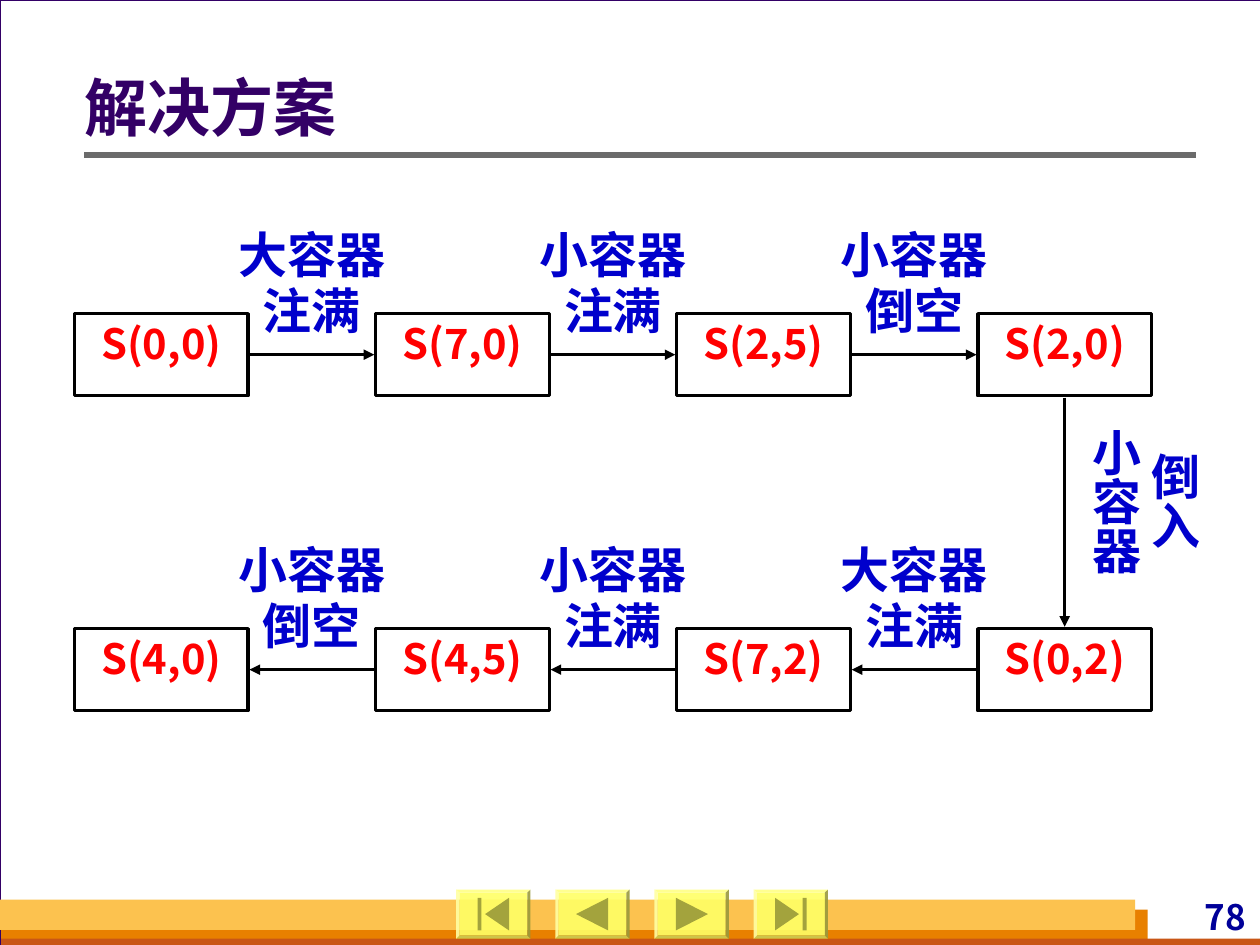
from dataclasses import dataclass

from lxml import etree
from pptx import Presentation
from pptx.dml.color import RGBColor
from pptx.enum.shapes import MSO_CONNECTOR, MSO_SHAPE
from pptx.enum.text import MSO_ANCHOR, PP_ALIGN
from pptx.oxml.ns import qn
from pptx.util import Inches, Pt

RECT, BEVEL = MSO_SHAPE.RECTANGLE, MSO_SHAPE.BEVEL
STRAIGHT = MSO_CONNECTOR.STRAIGHT
TOP, MIDDLE = MSO_ANCHOR.TOP, MSO_ANCHOR.MIDDLE
LEFT, CENTER, RIGHT = PP_ALIGN.LEFT, PP_ALIGN.CENTER, PP_ALIGN.RIGHT


@dataclass(frozen=True)
class Theme:
    font: str = "Noto Sans CJK SC"
    back: str = "D8DADA"
    white: str = "FFFFFF"
    ink: str = "000000"
    title: str = "330066"
    rule: str = "6B6B6B"
    state: str = "FF0000"
    step: str = "0000CC"
    page: str = "000099"
    gold: str = "FCC24F"
    orange: str = "E88000"
    rust: str = "C95616"
    button: str = "FFFF66"
    glyph: str = "A3A33D"
    title_size: float = 36
    step_size: float = 28
    state_size: float = 23.8
    page_size: float = 20


@dataclass(frozen=True)
class Grid:
    left: float = 5.9
    top: float = 33.2
    across: float = 23.9
    down: float = 33.33
    wide: float = 13.8
    high: float = 8.67

    def cell(self, col, row):
        return (self.left + col * self.across, self.top + row * self.down,
                self.wide, self.high)


class Board:
    def __init__(self, deck, theme, grid):
        self.deck, self.theme, self.grid = deck, theme, grid
        self.slide = deck.slides.add_slide(deck.slide_layouts[5])
        self.shapes = self.slide.shapes
        self.paint(self.slide.background.fill, theme.back)

    def spot(self, x, y):
        return (round(self.deck.slide_width * x / 100),
                round(self.deck.slide_height * y / 100))

    def area(self, x, y, w, h):
        return *self.spot(x, y), *self.spot(w, h)

    def paint(self, fill, color):
        fill.solid()
        fill.fore_color.rgb = RGBColor.from_string(color)

    def letter(self, shape, lines, size, color, align=CENTER, space=None,
               inset=(0, 0, 0, 0), anchor=TOP):
        frame = shape.text_frame
        frame.text = lines
        frame.word_wrap = True
        frame.vertical_anchor = anchor
        (frame.margin_left, frame.margin_top,
         frame.margin_right, frame.margin_bottom) = map(Inches, inset)
        for para in frame.paragraphs:
            para.alignment = align
            para.line_spacing = space
            for run in para.runs:
                font = run.font
                font.size, font.bold, font.name = Pt(size), True, self.theme.font
                font.color.rgb = RGBColor.from_string(color)
                east = etree.SubElement(font._element, qn("a:ea"))
                east.set("typeface", self.theme.font)

    def title(self, text, area):
        shape = self.shapes.title
        self.shapes._spTree.append(shape._element)
        shape.left, shape.top, shape.width, shape.height = self.area(*area)
        self.letter(shape, text, self.theme.title_size, self.theme.title, LEFT,
                    0.9, (0, 0.05, 0.1, 0.05), MIDDLE)

    def block(self, area, fill, line=None, width=0.75, kind=RECT):
        shape = self.shapes.add_shape(kind, *self.area(*area))
        shape.shadow.inherit = False
        self.paint(shape.fill, fill)
        if line:
            self.paint(shape.line.fill, line)
            shape.line.width = Pt(width)
        else:
            shape.line.fill.background()
        return shape

    def label(self, text, area, size, color, align=CENTER, space=None,
              inset=(0, 0, 0, 0), upright=False):
        shape = self.shapes.add_textbox(*self.area(*area))
        self.letter(shape, text, size, color, align, space, inset)
        if upright:
            shape.text_frame._txBody.bodyPr.set("vert", "eaVert")

    def state(self, text, col, row):
        shape = self.block(self.grid.cell(col, row), self.theme.white,
                           self.theme.ink, 2)
        self.letter(shape, text, self.theme.state_size, self.theme.state,
                    space=0.9, inset=(0.04, 0.08, 0.04, 0.08))

    def step(self, text, col, row):
        x, y, w, h = self.grid.cell(col, row)
        gap = self.grid.across - w
        self.label(text, (x + w + gap / 2 - 5.9, y - 9.07, 11.8, 12),
                   self.theme.step_size, self.theme.step, space=0.96)

    def line(self, start, end, color, width, arrow=False):
        line = self.shapes.add_connector(STRAIGHT, *self.spot(*start),
                                         *self.spot(*end))
        self.paint(line.line.fill, color)
        line.line.width = Pt(width)
        if arrow:
            tail = etree.SubElement(line.line._get_or_add_ln(), qn("a:tailEnd"))
            tail.set("type", "triangle")
        etree.SubElement(line._element.spPr, qn("a:effectLst"))

    def arrow(self, start, end):
        self.line(start, end, self.theme.ink, 2, True)

    def button(self, x, y, bar, flip):
        w, h = 5.9, 5.2
        shape = self.block((x, y, w, h), self.theme.button, kind=BEVEL)
        shape.adjustments[0] = 0.065
        tint = shape._element.spPr.find(".//" + qn("a:srgbClr"))
        etree.SubElement(tint, qn("a:alpha")).set("val", "90000")
        tip = 2.3 if bar else 1.65
        parts = [[(tip, 2.6), (4.2, 0.87), (4.2, 4.33)]]
        if bar:
            parts.append([(1.7, 0.87), (2, 0.87), (2, 4.33), (1.7, 4.33)])
        parts = [[self.spot(x + (w - a if flip else a), y + b) for a, b in part]
                 for part in parts]
        pen = self.shapes.build_freeform(*parts[0][0])
        pen.add_line_segments(parts[0][1:])
        for part in parts[1:]:
            pen.move_to(*part[0])
            pen.add_line_segments(part[1:])
        icon = pen.convert_to_shape()
        icon.shadow.inherit = False
        self.paint(icon.fill, self.theme.glyph)
        icon.line.fill.background()


def main():
    deck = Presentation()
    deck.slide_width, deck.slide_height = Inches(10), Inches(7.5)
    theme, grid = Theme(), Grid()
    board = Board(deck, theme, grid)

    board.block((0, 0, 100.1, 100), theme.white, theme.title)
    board.block((0.1, 96.27, 91, 3.73), theme.orange)
    board.block((0.1, 99.33, 99.9, 0.67), theme.rust)
    board.block((0, 95.2, 90.1, 3.2), theme.gold)
    board.label("78", (88.6, 94.8, 10.7, 4.4), theme.page_size, theme.page,
                RIGHT, inset=(0.04, 0, 0.04, 0))
    board.line((6.7, 16.4), (94.9, 16.4), theme.rule, 3)
    kinds = [(True, False), (False, False), (False, True), (True, True)]
    for i, (bar, flip) in enumerate(kinds):
        board.button(36.2 + 7.87 * i, 94.13, bar, flip)
    board.title("解决方案", (6.7, 5.07, 88.2, 13.47))

    states = [["S(0,0)", "S(7,0)", "S(2,5)", "S(2,0)"],
              ["S(4,0)", "S(4,5)", "S(7,2)", "S(0,2)"]]
    steps = [["大容器注满", "小容器注满", "小容器倒空"],
             ["小容器倒空", "小容器注满", "大容器注满"]]
    for row in range(2):
        for col, text in enumerate(states[row]):
            board.state(text, col, row)
        for col, text in enumerate(steps[row]):
            board.step(text, col, row)
            x, y, w, h = grid.cell(col, row)
            ends = [(x + w + 0.1, y + h / 2),
                    (x + grid.across - 0.1, y + h / 2)]
            board.arrow(*(ends[::-1] if row else ends))

    x, y, w, h = grid.cell(3, 0)
    board.arrow((x + w / 2, y + h + 0.2), (x + w / 2, y + grid.down - 0.2))
    board.label("倒入\n小容器", (86.2, 45.33, 9.3, 17.87), theme.step_size,
                theme.step, upright=True)
    deck.save("out.pptx")


if __name__ == "__main__":
    main()
